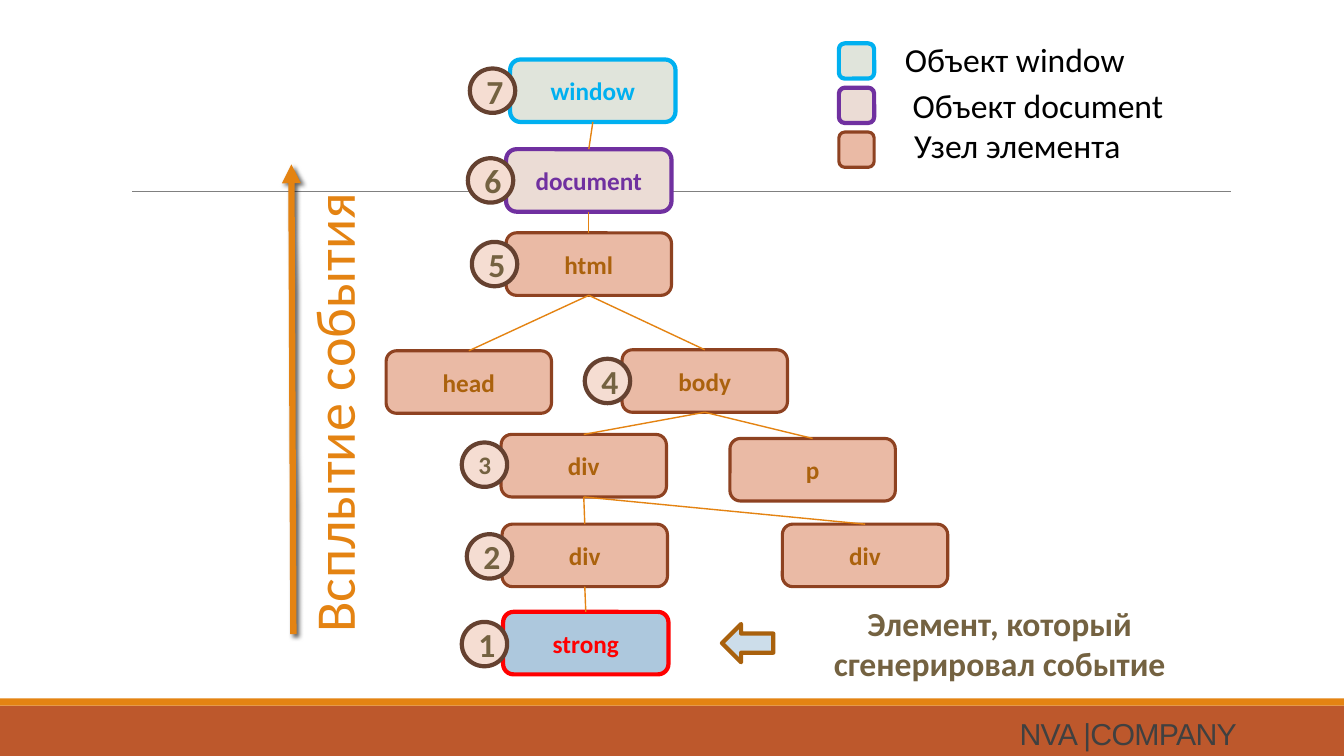
from dataclasses import dataclass

from lxml import etree
from pptx import Presentation
from pptx.dml.color import RGBColor
from pptx.enum import shapes, text
from pptx.oxml import ns, parse_xml
from pptx.util import Inches, Pt

SHAPE = shapes.MSO_SHAPE


@dataclass(frozen=True)
class Theme:
    font: str = "Calibri"
    footer_font: str = "Arial"
    # Type sizes
    label: float = 18
    body: float = 24
    heading: float = 40
    footer: float = 21.6
    # Colours
    orange: str = "E48312"
    rust: str = "BD582C"
    rule: str = "808080"
    olive: str = "746241"
    black: str = "000000"
    grey: str = "404040"
    # Box styles: fill, outline, outline width, text
    window: tuple = ("E0E4DB", "00B0F0", 3, "00B0F0")
    document: tuple = ("EBDCD5", "7030A0", 3, "7030A0")
    element: tuple = ("EABAA5", "8E4221", 2.25, "AB620D")
    target: tuple = ("ADC8DD", "FF0000", 3, "FF0000")
    badge: tuple = ("F5DDD2", "654130", 3, "746241")
    pointer: tuple = ("CCDDEA", "A9610D", 3, "A9610D")


class SlideBuilder:
    def __init__(self, slide, theme):
        self.shapes = slide.shapes
        self.theme = theme

    def set_text(self, tf, content, size, color, bold=False, font=None):
        tf.text = content
        p = tf.paragraphs[0]
        p.alignment = text.PP_ALIGN.CENTER
        r = p.runs[0]
        r.font.name = font or self.theme.font
        r.font.size = Pt(size)
        r.font.bold = bold
        r.font.color.rgb = RGBColor.from_string(color)
        return p

    def band(self, top, height, color):
        sp = self.shapes.add_shape(SHAPE.RECTANGLE, 0, Inches(top),
                                   Inches(13.33), Inches(height))
        sp.shadow.inherit = False
        sp.fill.solid()
        sp.fill.fore_color.rgb = RGBColor.from_string(color)
        sp.line.fill.background()

    def box(self, kind, left, top, width, height, style, content="", size=None):
        fill, outline, weight, color = style
        sp = self.shapes.add_shape(kind, *map(Inches, (left, top, width, height)))
        sp.shadow.inherit = False
        sp.fill.solid()
        sp.fill.fore_color.rgb = RGBColor.from_string(fill)
        sp.line.color.rgb = RGBColor.from_string(outline)
        sp.line.width = Pt(weight)
        if content:
            sp.text_frame.vertical_anchor = text.MSO_ANCHOR.MIDDLE
            self.set_text(sp.text_frame, content, size or self.theme.label, color, True)
        return sp

    def label(self, left, top, width, height, content, size, color,
              bold=False, wrap=False):
        sp = self.shapes.add_textbox(*map(Inches, (left, top, width, height)))
        tf = sp.text_frame
        tf.word_wrap = wrap
        tf.auto_size = text.MSO_AUTO_SIZE.SHAPE_TO_FIT_TEXT
        self.set_text(tf, content, size, color, bold)
        return sp

    def line(self, start, end, color, weight):
        cx = self.shapes.add_connector(shapes.MSO_CONNECTOR.STRAIGHT,
                                       *map(Inches, (*start, *end)))
        cx.line.color.rgb = RGBColor.from_string(color)
        cx.line.width = Pt(weight)
        etree.SubElement(cx._element.spPr, ns.qn("a:effectLst"))
        return cx

    def edge(self, parent, child):
        cx = self.line((0, 0), (0, 0), self.theme.orange, 1)
        cx.begin_connect(parent, 2)
        cx.end_connect(child, 0)

    def shadowed_arrow(self, start, end, color, weight):
        cx = self.line(start, end, color, weight)
        etree.SubElement(cx.line._get_or_add_ln(), ns.qn("a:tailEnd"), type="triangle")
        effects = cx._element.spPr.find(ns.qn("a:effectLst"))
        effects.append(parse_xml(
            f'<a:outerShdw {ns.nsdecls("a")} blurRad="{Pt(3)}" dist="{Pt(2)}" '
            'dir="2700000" rotWithShape="0"><a:srgbClr val="000000">'
            '<a:alpha val="60000"/></a:srgbClr></a:outerShdw>'))

    def footer(self, left, top, width, height, content):
        sp = self.shapes.add_textbox(*map(Inches, (left, top, width, height)))
        tf = sp.text_frame
        tf.word_wrap = True
        tf.vertical_anchor = text.MSO_ANCHOR.BOTTOM
        p = self.set_text(tf, content, self.theme.footer, self.theme.grey,
                          font=self.theme.footer_font)
        p.line_spacing = 0.75
        p.runs[0].font._element.set("spc", "-50")


def main():
    prs = Presentation()
    prs.slide_width, prs.slide_height = Inches(13.33), Inches(7.5)
    theme = Theme()
    s = SlideBuilder(prs.slides.add_slide(prs.slide_layouts[6]), theme)

    # Footer bands and rule
    s.band(7, 0.5, theme.rust)
    s.band(6.93, 0.07, theme.orange)
    s.line((1.31, 1.9), (12.21, 1.9), theme.rule, 0.5)

    # Tree nodes: key, name, left, top, style
    nodes = {}
    for key, name, left, top, style in (
        ("window", "window", 5.06, 0.59, theme.window),
        ("document", "document", 5.02, 1.48, theme.document),
        ("html", "html", 5.02, 2.31, theme.element),
        ("head", "head", 3.83, 3.48, theme.element),
        ("body", "body", 6.17, 3.47, theme.element),
        ("outer div", "div", 4.97, 4.31, theme.element),
        ("p", "p", 7.24, 4.35, theme.element),
        ("inner div", "div", 4.98, 5.2, theme.element),
        ("side div", "div", 7.76, 5.2, theme.element),
        ("strong", "strong", 4.99, 6.07, theme.target),
    ):
        nodes[key] = s.box(SHAPE.ROUNDED_RECTANGLE, left, top, 1.64, 0.62, style, name)

    # Legend swatches
    for i, style in enumerate((theme.window, theme.document, theme.element)):
        s.box(SHAPE.ROUNDED_RECTANGLE, 8.32, 0.43 + 0.44 * i, 0.35, 0.35, style)

    # Numbered steps, from the target up
    steps = ((4.58, 6.17), (4.63, 5.3), (4.58, 4.39), (5.8, 3.56),
             (4.68, 2.4), (4.64, 1.57), (4.66, 0.68))
    for number, (left, top) in enumerate(steps, 1):
        size = theme.label if number == 3 else theme.body
        s.box(SHAPE.OVAL, left, top, 0.45, 0.44, theme.badge, str(number), size)

    # Bubbling direction
    s.shadowed_arrow((2.91, 6.29), (2.89, 1.63), theme.orange, 4.5)
    bubbling = s.label(0.66, 3.71, 5.28, 0.77, "Всплытие события",
                       theme.heading, theme.orange)
    bubbling.rotation = 270

    # Legend labels
    for left, top, width, content in (
        (8.67, 0.34, 2.79, "Объект window"),
        (8.68, 0.79, 3.23, "Объект document"),
        (8.71, 1.19, 2.76, "Узел элемента"),
    ):
        s.label(left, top, width, 0.5, content, theme.body, theme.black)

    # Note on the event target
    pointer = s.box(SHAPE.RIGHT_ARROW, 7.16, 6.19, 0.51, 0.38, theme.pointer)
    pointer.rotation = 180
    s.label(7.81, 5.93, 4.21, 0.91, "Элемент, который сгенерировал событие",
            theme.body, theme.olive, bold=True, wrap=True)

    # Tree edges
    for parent, child in (
        ("inner div", "strong"), ("window", "document"), ("document", "html"),
        ("html", "head"), ("html", "body"), ("body", "outer div"), ("body", "p"),
        ("outer div", "inner div"), ("outer div", "side div"),
    ):
        s.edge(nodes[parent], nodes[child])

    # Footer name
    s.footer(9.92, 7.1, 2.54, 0.4, "NVA |COMPANY")

    prs.save("out.pptx")


if __name__ == "__main__":
    main()
